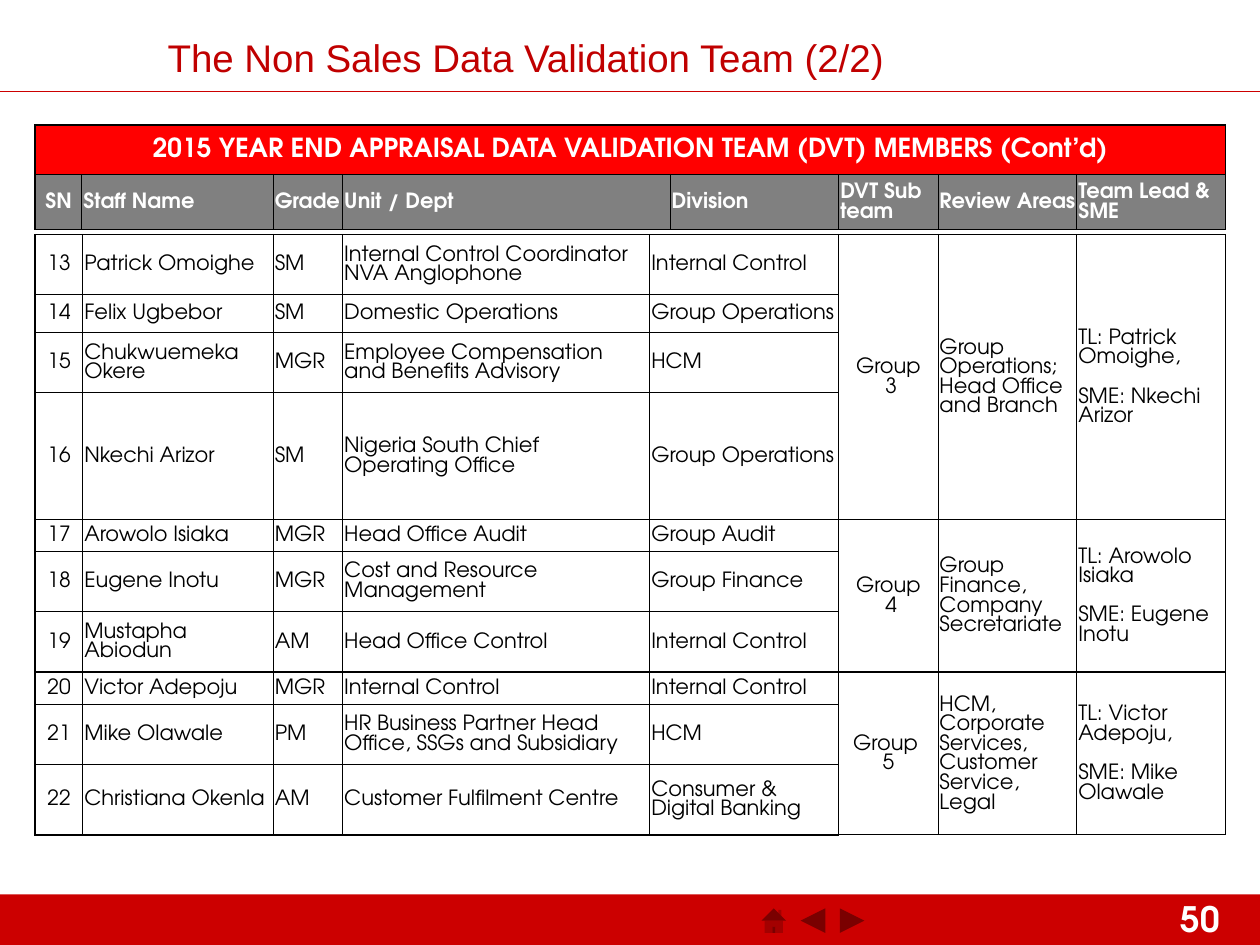
from lxml import etree
from pptx import Presentation
from pptx.dml.color import RGBColor
from pptx.enum.shapes import MSO_CONNECTOR, MSO_SHAPE
from pptx.enum.text import MSO_ANCHOR, PP_ALIGN
from pptx.oxml.ns import qn
from pptx.util import Cm, Pt

RED = RGBColor(0xCC, 0x00, 0x00)
TITLE_RED = RGBColor(0xC0, 0x00, 0x00)
BANNER_RED = RGBColor(0xFF, 0x00, 0x00)
GREY = RGBColor(0x80, 0x80, 0x80)
BLACK = RGBColor(0x00, 0x00, 0x00)
WHITE = RGBColor(0xFF, 0xFF, 0xFF)

CENTER, LEFT = PP_ALIGN.CENTER, PP_ALIGN.LEFT
TOP, MIDDLE = MSO_ANCHOR.TOP, MSO_ANCHOR.MIDDLE
FONT, TITLE_FONT = "TeX Gyre Adventor", "Arial"
THIN, THICK = 0.5, 1
LINE_PITCH = 11.2

TABLE_LEFT = 0.71
BANNER = "2015 YEAR END APPRAISAL DATA VALIDATION TEAM (DVT) MEMBERS (Cont’d)"
HEADINGS = ["SN", "Staff Name", "Grade", "Unit / Dept", "Division",
            "DVT Sub team", "Review Areas", "Team Lead & SME"]
HEADER_WIDTHS = [0.94, 3.86, 1.4, 6.6, 3.4, 2, 2.8, 3]
HEADER_HEIGHTS = [1, 1.11]
MEMBER_WIDTHS = [0.96, 3.84, 1.4, 6.19, 3.81, 2, 2.8, 3]
FIRST_SN = 13

# Each group: sub team, review areas, leads, then its members with row height
GROUPS = [
    (["Group", " 3"], "Group Operations; Head Office and Branch",
     ["TL: Patrick Omoighe,", "SME: Nkechi Arizor"],
     [(1.2, "Patrick Omoighe", "SM",
       "Internal Control Coordinator NVA Anglophone", "Internal Control"),
      (0.77, "Felix Ugbebor", "SM", "Domestic Operations", "Group Operations"),
      (1.21, "Chukwuemeka Okere", "MGR",
       "Employee Compensation and Benefits Advisory", "HCM"),
      (2.56, "Nkechi Arizor", "SM",
       "Nigeria South Chief Operating Office", "Group Operations")]),
    (["Group", " 4"], "Group Finance, Company Secretariate",
     ["TL: Arowolo Isiaka", "SME: Eugene Inotu"],
     [(0.64, "Arowolo Isiaka", "MGR", "Head Office Audit", "Group Audit"),
      (1.21, "Eugene Inotu", "MGR",
       "Cost and Resource Management", "Group Finance"),
      (1.23, "Mustapha Abiodun", "AM",
       "Head Office Control", "Internal Control")]),
    (["Group ", "5"], "HCM, Corporate Services, Customer Service, Legal",
     ["TL: Victor Adepoju,", "SME: Mike Olawale"],
     [(0.64, "Victor Adepoju", "MGR", "Internal Control", "Internal Control"),
      (1.21, "Mike Olawale", "PM",
       "HR Business Partner Head Office, SSGs and Subsidiary", "HCM"),
      (1.43, "Christiana Okenla", "AM",
       "Customer Fulfilment Centre", "Consumer & Digital Banking")]),
]


def add_run(paragraph, text, size, color, bold=False, font=FONT):
    run = paragraph.add_run()
    run.text = text
    run.font.name = font
    run.font.size = Pt(size)
    run.font.bold = bold
    run.font.color.rgb = color


def set_borders(cell, left, right, top, bottom):
    properties = cell._tc.get_or_add_tcPr()
    sides = {"a:lnL": left, "a:lnR": right, "a:lnT": top, "a:lnB": bottom}
    for tag, width in sides.items():
        line = etree.SubElement(properties, qn(tag), w=str(Pt(width)))
        fill = etree.SubElement(line, qn("a:solidFill"))
        etree.SubElement(fill, qn("a:srgbClr"), val=str(BLACK))


def fill_cell(cell, lines, align=LEFT, size=12, color=BLACK, bold=False, gap=0):
    """Write one paragraph per line; gap is the space between paragraphs."""
    for index, text in enumerate(lines):
        frame = cell.text_frame
        paragraph = frame.add_paragraph() if index else frame.paragraphs[0]
        paragraph.alignment = align
        paragraph.line_spacing = Pt(LINE_PITCH * size / 12)
        paragraph.space_before = Pt(gap if index else 0)
        add_run(paragraph, text, size, color, bold)


def add_grid(slide, top, widths, heights, thick_rows):
    """Add a bordered table; thick_rows are the row indexes below thick lines."""
    table = slide.shapes.add_table(
        len(heights), len(widths), Cm(TABLE_LEFT), Cm(top),
        Cm(sum(widths)), Cm(sum(heights))).table
    table.first_row = table.horz_banding = False
    for column, width in zip(table.columns, widths):
        column.width = Cm(width)
    last = len(widths) - 1
    for r, height in enumerate(heights):
        table.rows[r].height = Cm(height)
        for c in range(len(widths)):
            cell = table.cell(r, c)
            cell.vertical_anchor = MIDDLE
            cell.margin_left = cell.margin_right = cell.margin_top = Cm(0.03)
            cell.margin_bottom = 0
            set_borders(cell,
                        THICK if c == 0 else THIN,
                        THICK if c == last else THIN,
                        THICK if r in thick_rows else THIN,
                        THICK if r + 1 in thick_rows else THIN)
            cell.fill.background()
    return table


def add_members_table(slide):
    heights = [member[0] for group in GROUPS for member in group[3]]
    starts = [0]
    for group in GROUPS:
        starts.append(starts[-1] + len(group[3]))
    table = add_grid(slide, 4.73, MEMBER_WIDTHS, heights, starts)
    for start, (sub_team, areas, leads, members) in zip(starts, GROUPS):
        for row, (_, *details) in enumerate(members, start):
            fill_cell(table.cell(row, 0), [str(FIRST_SN + row)], CENTER)
            for column, text in enumerate(details, 1):
                fill_cell(table.cell(row, column), [text])
        # Group columns span all members
        for column in (5, 6, 7):
            table.cell(start, column).merge(
                table.cell(start + len(members) - 1, column))
        fill_cell(table.cell(start, 5), sub_team, CENTER)
        fill_cell(table.cell(start, 6), [areas])
        fill_cell(table.cell(start, 7), leads, gap=LINE_PITCH)


def add_header_table(slide):
    table = add_grid(slide, 2.52, HEADER_WIDTHS, HEADER_HEIGHTS, [0, 1, 2])
    banner = table.cell(0, 0)
    banner.merge(table.cell(0, len(HEADINGS) - 1))
    banner.fill.solid()
    banner.fill.fore_color.rgb = BANNER_RED
    fill_cell(banner, [BANNER], CENTER, 15, WHITE, True)
    for column, heading in enumerate(HEADINGS):
        cell = table.cell(1, column)
        cell.fill.solid()
        cell.fill.fore_color.rgb = GREY
        fill_cell(cell, [heading], LEFT if column else CENTER,
                  color=WHITE, bold=True)


def add_red_shape(slide, kind, left, top, width, height):
    shape = slide.shapes.add_shape(kind, Cm(left), Cm(top), Cm(width), Cm(height))
    shape.shadow.inherit = False
    shape.fill.solid()
    shape.fill.fore_color.rgb = RED
    shape.line.fill.background()


def add_footer(slide):
    add_red_shape(slide, MSO_SHAPE.RECTANGLE, 0, 18.03, 25.4, 1.02)
    number_box = slide.shapes.add_textbox(Cm(23.55), Cm(17.96), Cm(1.85), Cm(1.09))
    number_box.text_frame.word_wrap = True
    add_run(number_box.text_frame.paragraphs[0], "50", 20, WHITE, True)
    # Navigation buttons
    buttons = [MSO_SHAPE.ACTION_BUTTON_HOME,
               MSO_SHAPE.ACTION_BUTTON_BACK_OR_PREVIOUS,
               MSO_SHAPE.ACTION_BUTTON_FORWARD_OR_NEXT]
    for index, button in enumerate(buttons):
        add_red_shape(slide, button, 15.27 + 0.79 * index, 18.14, 0.66, 0.84)


def add_title_rule(slide):
    rule = slide.shapes.add_connector(
        MSO_CONNECTOR.STRAIGHT, 0, Cm(1.84), Cm(25.4), Cm(1.84))
    rule.line.color.rgb = RED
    rule.line.width = Pt(0.75)
    etree.SubElement(rule._element.spPr, qn("a:effectLst"))


def set_title(slide, text):
    title = slide.shapes.title
    title.left, title.top = Cm(0.3), Cm(0.56)
    title.width, title.height = Cm(20.6), Cm(0.76)
    title.text_frame.vertical_anchor = TOP
    paragraph = title.text_frame.paragraphs[0]
    paragraph.alignment = CENTER
    add_run(paragraph, text, 22, TITLE_RED, font=TITLE_FONT)


def main():
    deck = Presentation()
    deck.slide_width, deck.slide_height = Cm(25.4), Cm(19.05)
    slide = deck.slides.add_slide(deck.slide_layouts[5])
    add_footer(slide)
    add_title_rule(slide)
    add_members_table(slide)
    add_header_table(slide)
    set_title(slide, "The Non Sales Data Validation Team (2/2)")
    deck.save("out.pptx")


if __name__ == "__main__":
    main()
